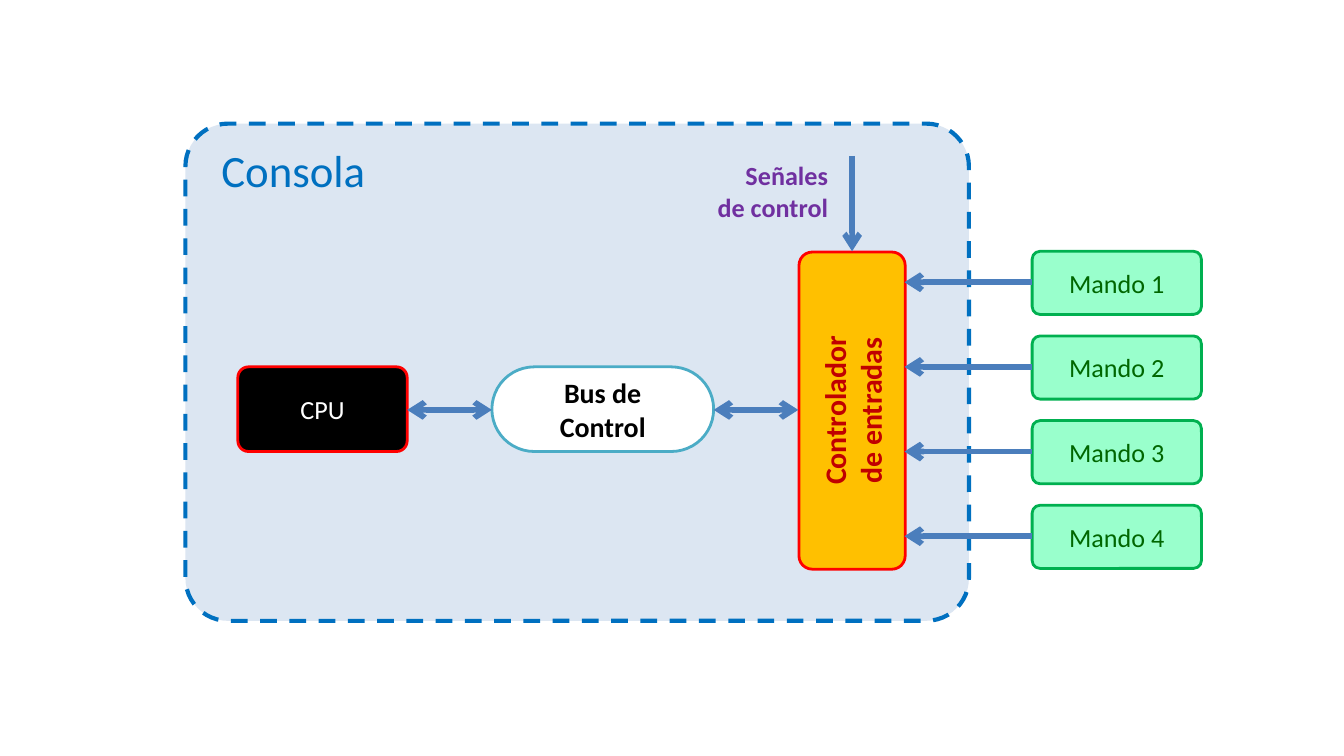
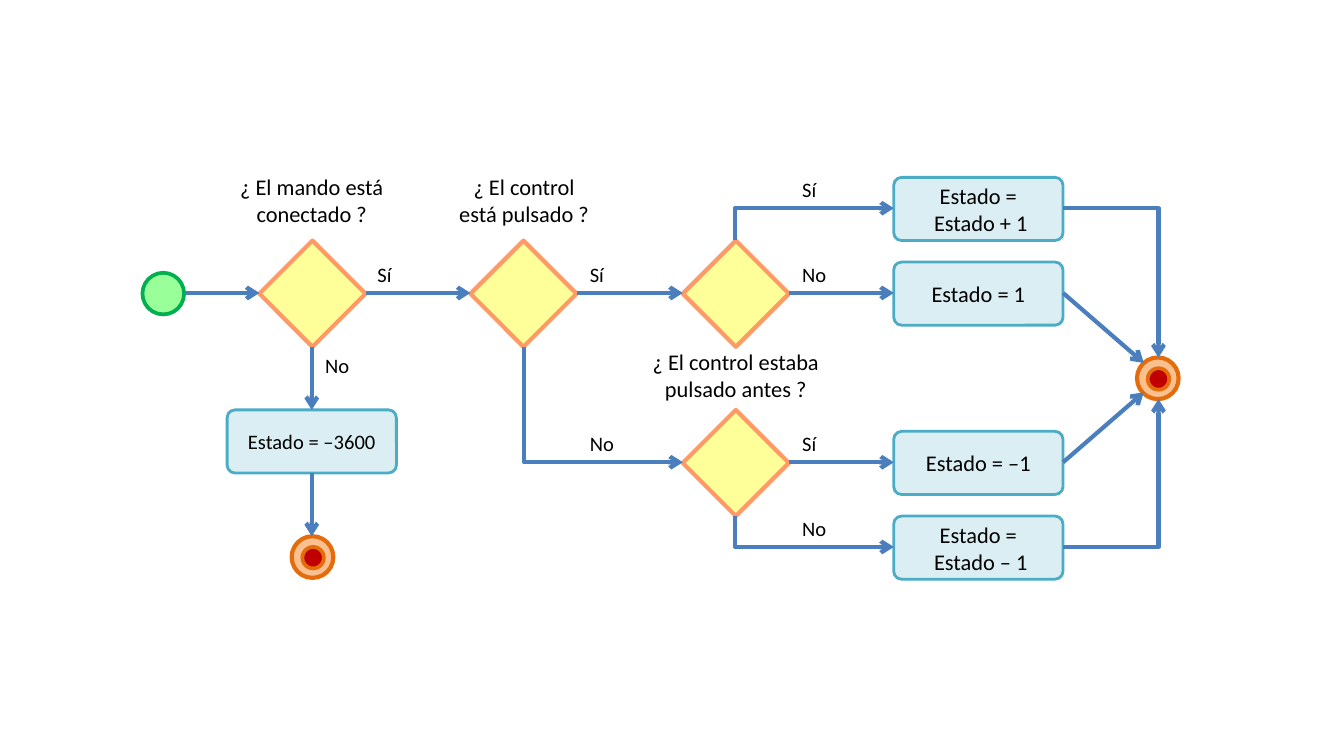
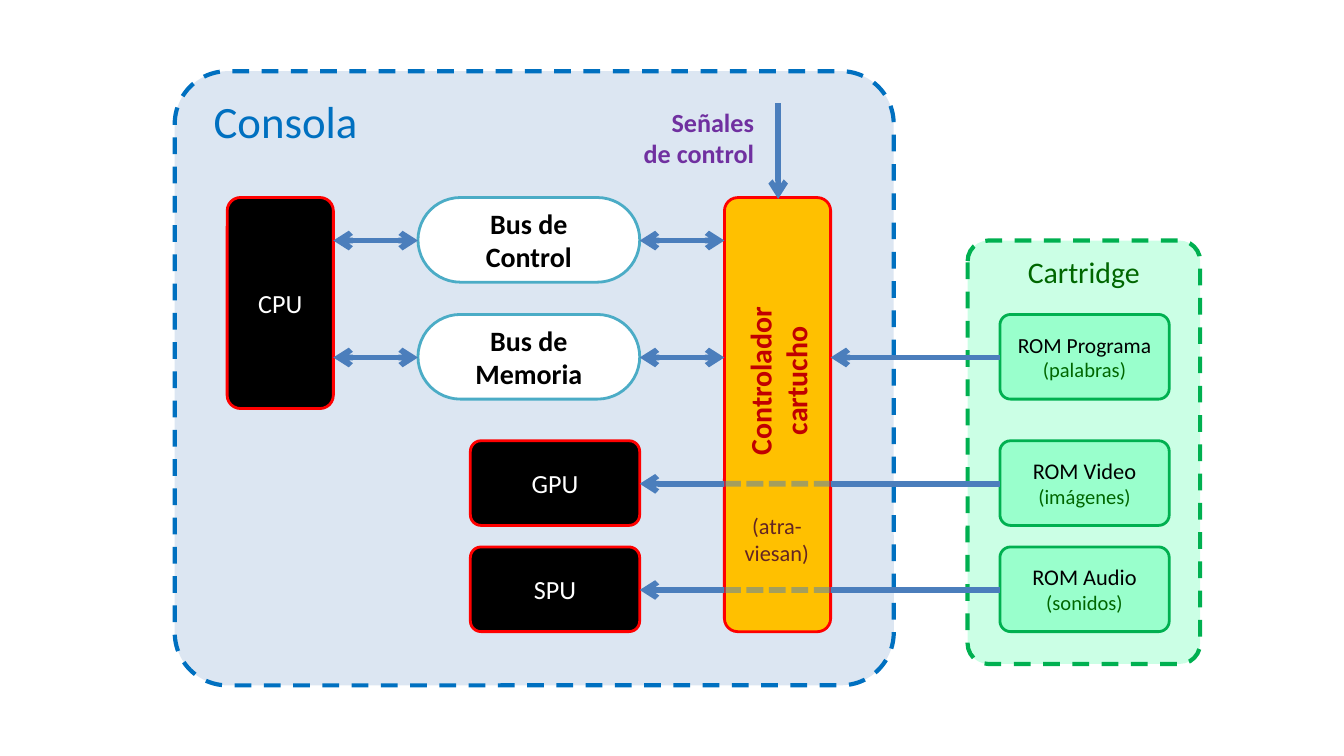
from pptx import Presentation
from pptx.dml.color import RGBColor
from pptx.enum.dml import MSO_LINE as DASH
from pptx.enum.shapes import MSO_CONNECTOR as LINK, MSO_SHAPE as SHAPE
from pptx.enum.text import MSO_ANCHOR as ANCHOR, MSO_AUTO_SIZE as AUTO, PP_ALIGN as ALIGN
from pptx.oxml.ns import qn
from pptx.util import Inches, Pt
from lxml.etree import SubElement

THEME = {
    "font": "Calibri",
    "text": {
        "console": (24, "0070C0", False),
        "controller": (16, "C00000", True),
        "chip": (14, "FFFFFF", False),
        "bus": (15, "000000", True),
        "signal": (14, "7030A0", True),
        "pad": (14, "006600", False),
        "cartridge": (16, "006600", False),
        "rom": (12, "000000", False),
        "long rom": (11.5, "000000", False),
        "rom note": (11, "006600", False),
        "crossing": (12, "632523", False),
        "step": (12, "000000", False),
        "small": (11, "000000", False),
    },
    "box": {
        "console": (SHAPE.ROUNDED_RECTANGLE, 0.086, "DCE6F2", "0070C0", 2.25),
        "cartridge": (SHAPE.ROUNDED_RECTANGLE, 0.088, "99FFCC", "00B050", 2.25),
        "controller": (SHAPE.ROUNDED_RECTANGLE, 0.125, "FFC000", "FF0000", 1.5),
        "chip": (SHAPE.ROUNDED_RECTANGLE, 0.125, "000000", "FF0000", 1.5),
        "bus": (SHAPE.ROUNDED_RECTANGLE, 0.5, "FFFFFF", "4BACC6", 1.5),
        "green": (SHAPE.ROUNDED_RECTANGLE, 0.125, "99FFCC", "00B050", 1.5),
        "step": (SHAPE.ROUNDED_RECTANGLE, 0.125, "DBEEF4", "4BACC6", 1.5),
        "decision": (SHAPE.FLOWCHART_DECISION, None, "FFFF99", "FF9966", 2.25),
        "start": (SHAPE.FLOWCHART_CONNECTOR, None, "99FF99", "00B050", 2),
        "end": (SHAPE.FLOWCHART_CONNECTOR, None, "FAC090", "E46C0A", 2.25),
        "core": (SHAPE.FLOWCHART_CONNECTOR, None, "C00000", "E46C0A", 2),
    },
    "arrow": "4B7EBC",
    "hidden arrow": "4A7EBB",
    "bus width": 3,
    "flow width": 2.25,
}

PADS = ["Mando 1", "Mando 2", "Mando 3", "Mando 4"]
PAD_TOP, PAD_PITCH = 1.87, 0.63
BUSES = [("Bus de\nControl", 1.47), ("Bus de Memoria", 2.34)]
ROMS = [
    ("ROM Programa\n(palabras)", "long rom", 2.34, None),
    ("ROM Video\n(imágenes)", "rom", 3.28, "GPU"),
    ("ROM Audio\n(sonidos)", "rom", 4.07, "SPU"),
]
DECISIONS = {"connected": (1.93, 1.79), "pressed": (3.5, 1.79),
             "was on": (5.08, 1.79), "was off": (5.08, 3.05)}
QUESTIONS = [
    ("¿ El mando está conectado ?", 1.61, 1.24, 1.42),
    ("¿ El control está pulsado ?", 3.27, 1.24, 1.26),
    ("¿ El control estaba pulsado antes ?", 4.69, 2.54, 1.57),
]
STATES = [("Estado =\v Estado + 1", 1.32), ("Estado = 1", 1.95),
          ("Estado = –1", 3.21), ("Estado =\v Estado – 1", 3.84)]
ANSWERS = [
    ("Sí", 2.71, 1.9), ("No", 2.32, 2.58), ("Sí", 4.29, 1.9), ("No", 4.29, 3.16),
    ("Sí", 5.87, 1.27), ("No", 5.87, 1.9), ("Sí", 5.87, 3.16), ("No", 5.87, 3.79),
]
TOP, LEFT, BOTTOM, RIGHT = range(4)
ROUND_BOTTOM = 4


def color(value):
    return RGBColor.from_string(value)


def fade(element, percent):
    for tint in element.iter(qn("a:srgbClr")):
        SubElement(tint, qn("a:alpha")).set("val", str(percent * 1000))


def write(frame, text, styles, align):
    frame.word_wrap = True
    frame.text = text
    for index, para in enumerate(frame.paragraphs):
        size, tint, bold = THEME["text"][styles[min(index, len(styles) - 1)]]
        para.alignment = align
        for span in para.runs:
            span.font.name, span.font.size, span.font.bold = THEME["font"], Pt(size), bold
            span.font.color.rgb = color(tint)


def add_box(parent, kind, at, text="", *styles, align=ALIGN.CENTER, anchor=ANCHOR.MIDDLE):
    preset, corner, fill, edge, width = THEME["box"][kind]
    box = parent.add_shape(preset, *map(Inches, at))
    box.shadow.inherit = False
    if corner is not None:
        box.adjustments[0] = corner
    box.fill.solid()
    box.fill.fore_color.rgb = color(fill)
    box.line.color.rgb = color(edge)
    box.line.width = Pt(width)
    if text:
        write(box.text_frame, text, styles or (kind,), align)
        box.text_frame.vertical_anchor = anchor
    return box


def add_label(page, text, style, at, align=ALIGN.LEFT):
    label = page.shapes.add_textbox(*map(Inches, at))
    write(label.text_frame, text, (style,), align)
    label.text_frame.auto_size = AUTO.SHAPE_TO_FIT_TEXT


def add_arrow(page, start, end, width, head=False, tail=True, kind=LINK.STRAIGHT, dash=None):
    arrow = page.shapes.add_connector(kind, *map(Inches, (*start, *end)))
    arrow.line.color.rgb = color(THEME["hidden arrow" if dash else "arrow"])
    arrow.line.width = Pt(width)
    properties = arrow._element.spPr
    if dash:
        arrow.line.dash_style = dash
        fade(properties, 50)
    outline = properties.find(qn("a:ln"))
    for tag, wanted in (("a:headEnd", head), ("a:tailEnd", tail)):
        if wanted:
            SubElement(outline, qn(tag)).set("type", "arrow")
    SubElement(properties, qn("a:effectLst"))
    return arrow


def add_elbow(page, start, end, source, target, upright=False):
    arrow = add_arrow(page, start, end, THEME["flow width"], kind=LINK.ELBOW)
    arrow._element.spPr.find(qn("a:prstGeom")).set("prst", "bentConnector2")
    if upright:
        across, down = end[0] - start[0], end[1] - start[1]
        middle_x, middle_y = start[0] + across / 2, start[1] + down / 2
        arrow.left, arrow.top = Inches(middle_x - abs(down) / 2), Inches(middle_y - across / 2)
        arrow.width, arrow.height = Inches(abs(down)), Inches(across)
        frame = arrow._element.spPr.xfrm
        frame.rot, frame.flipH, frame.flipV = (270, True, False) if down > 0 else (90, True, True)
    ties = arrow._element.nvCxnSpPr.cNvCxnSpPr
    for tie, (shape, site) in ((ties.get_or_add_stCxn(), source), (ties.get_or_add_endCxn(), target)):
        tie.id, tie.idx = shape.shape_id, site


def add_bus_arrow(page, start, end, **ends):
    return add_arrow(page, start, end, THEME["bus width"], **ends)


def add_flow(page, start, end):
    return add_arrow(page, start, end, THEME["flow width"])


def add_console(page, at):
    box = add_box(page.shapes, "console", at, " Consola", align=ALIGN.LEFT, anchor=ANCHOR.TOP)
    box.line.dash_style = DASH.DASH


def add_controller(page, text, at, level=0):
    box = add_box(page.shapes, "controller", at, text)
    box.rotation = 270
    for para in box.text_frame.paragraphs:
        if level:
            para.level = level
            para._p.get_or_add_pPr().set("marL", str(Inches(0.5)))


def add_signals(page, x, top, at):
    add_bus_arrow(page, (x, top), (x, top + 0.71))
    add_label(page, "Señales\nde control", "signal", at, ALIGN.RIGHT)


def add_bus(page, text, left, top):
    add_box(page.shapes, "bus", (left, top, 1.65, 0.63), text)
    middle = top + 0.32
    for x in (left - 0.63, left + 1.65):
        add_bus_arrow(page, (x, middle), (x + 0.63, middle), head=True)


def add_end(page, left, top):
    group = page.shapes.add_group_shape()
    ring = add_box(group.shapes, "end", (left, top, 0.31, 0.31))
    add_box(group.shapes, "core", (left + 0.08, top + 0.08, 0.16, 0.16))
    return ring


def draw_inputs(page):
    add_console(page, (1.38, 0.92, 5.83, 3.7))
    add_controller(page, "Controlador\nde entradas", (5.16, 2.66, 2.36, 0.79))
    add_box(page.shapes, "chip", (1.77, 2.73, 1.26, 0.63), "CPU")
    add_bus(page, "Bus de\nControl", 3.66, 2.73)
    add_signals(page, 6.34, 1.16, (5.08, 1.14, 1.18, 0.57))
    for index, pad in enumerate(PADS):
        top = PAD_TOP + index * PAD_PITCH
        add_box(page.shapes, "green", (7.68, top, 1.26, 0.47), pad, "pad")
        add_bus_arrow(page, (6.73, top + 0.23), (7.68, top + 0.23), head=True, tail=False)


def draw_flow(page):
    add_box(page.shapes, "start", (1.06, 2.03, 0.31, 0.31))
    diamonds = {name: add_box(page.shapes, "decision", (*corner, 0.79, 0.79))
                for name, corner in DECISIONS.items()}
    add_box(page.shapes, "step", (1.69, 3.05, 1.26, 0.47), "Estado = –3600", "small")
    states = [add_box(page.shapes, "step", (6.65, top, 1.26, 0.47), text) for text, top in STATES]
    add_end(page, 2.17, 3.99)
    finish = add_end(page, 8.46, 2.66)

    stops = [1.38] + [left for left, top in DECISIONS.values() if top == 1.79] + [6.65]
    for index, stop in enumerate(stops[:-1]):
        add_flow(page, (stop + (0.79 if index else 0), 2.18), (stops[index + 1], 2.18))
    add_flow(page, (5.87, 3.44), (6.65, 3.44))
    add_flow(page, (2.32, 2.58), (2.32, 3.05))
    add_flow(page, (2.32, 3.52), (2.32, 3.99))
    add_flow(page, (7.91, 2.18), (8.51, 2.7))
    add_flow(page, (7.91, 3.44), (8.51, 2.92))

    first, last = states[0], states[-1]
    add_elbow(page, (3.9, 2.58), (5.08, 3.44),
              (diamonds["pressed"], BOTTOM), (diamonds["was off"], LEFT), upright=True)
    add_elbow(page, (5.47, 3.84), (6.65, 4.07),
              (diamonds["was off"], BOTTOM), (last, LEFT), upright=True)
    add_elbow(page, (5.47, 1.79), (6.65, 1.55),
              (diamonds["was on"], TOP), (first, LEFT), upright=True)
    add_elbow(page, (7.91, 1.55), (8.62, 2.66), (first, RIGHT), (finish, TOP))
    add_elbow(page, (7.91, 4.07), (8.62, 2.97), (last, RIGHT), (finish, ROUND_BOTTOM))

    for text, left, top, width in QUESTIONS:
        add_label(page, text, "step", (left, top, width, 0.5), ALIGN.CENTER)
    for text, left, top in ANSWERS:
        add_label(page, text, "small", (left, top, 0.48, 0.29))


def draw_cartridge(page):
    case = add_box(page.shapes, "cartridge", (7.2, 1.79, 1.73, 3.15), "Cartridge", anchor=ANCHOR.TOP)
    case.line.dash_style = DASH.DASH
    fade(case._element.spPr.find(qn("a:solidFill")), 50)
    add_console(page, (1.3, 0.53, 5.35, 4.57))
    add_controller(page, "Controlador\ncartucho", (4.17, 2.69, 3.23, 0.79), level=1)
    add_box(page.shapes, "chip", (1.69, 1.47, 0.79, 1.57), "CPU")
    add_signals(page, 5.79, 0.77, (4.61, 0.74, 1.1, 0.57))
    for text, top in BUSES:
        add_bus(page, text, 3.11, top)
    for text, style, top, chip in ROMS:
        middle = top + 0.32
        add_box(page.shapes, "green", (7.44, top, 1.26, 0.63), text, style, "rom note")
        add_bus_arrow(page, (7.44, middle), (6.18, middle), tail=not chip)
        if chip:
            add_box(page.shapes, "chip", (3.5, top, 1.26, 0.63), chip)
            add_bus_arrow(page, (5.39, middle), (4.76, middle))
            add_bus_arrow(page, (6.18, middle), (5.39, middle), tail=False, dash=DASH.SQUARE_DOT)
    add_label(page, "(atra-viesan)", "crossing", (5.31, 3.76, 0.94, 0.5), ALIGN.CENTER)


deck = Presentation()
deck.slide_width = Inches(10)
deck.slide_height = deck.slide_width * 9 // 16
for draw in (draw_inputs, draw_flow, draw_cartridge):
    draw(deck.slides.add_slide(deck.slide_layouts[6]))
deck.save("out.pptx")
